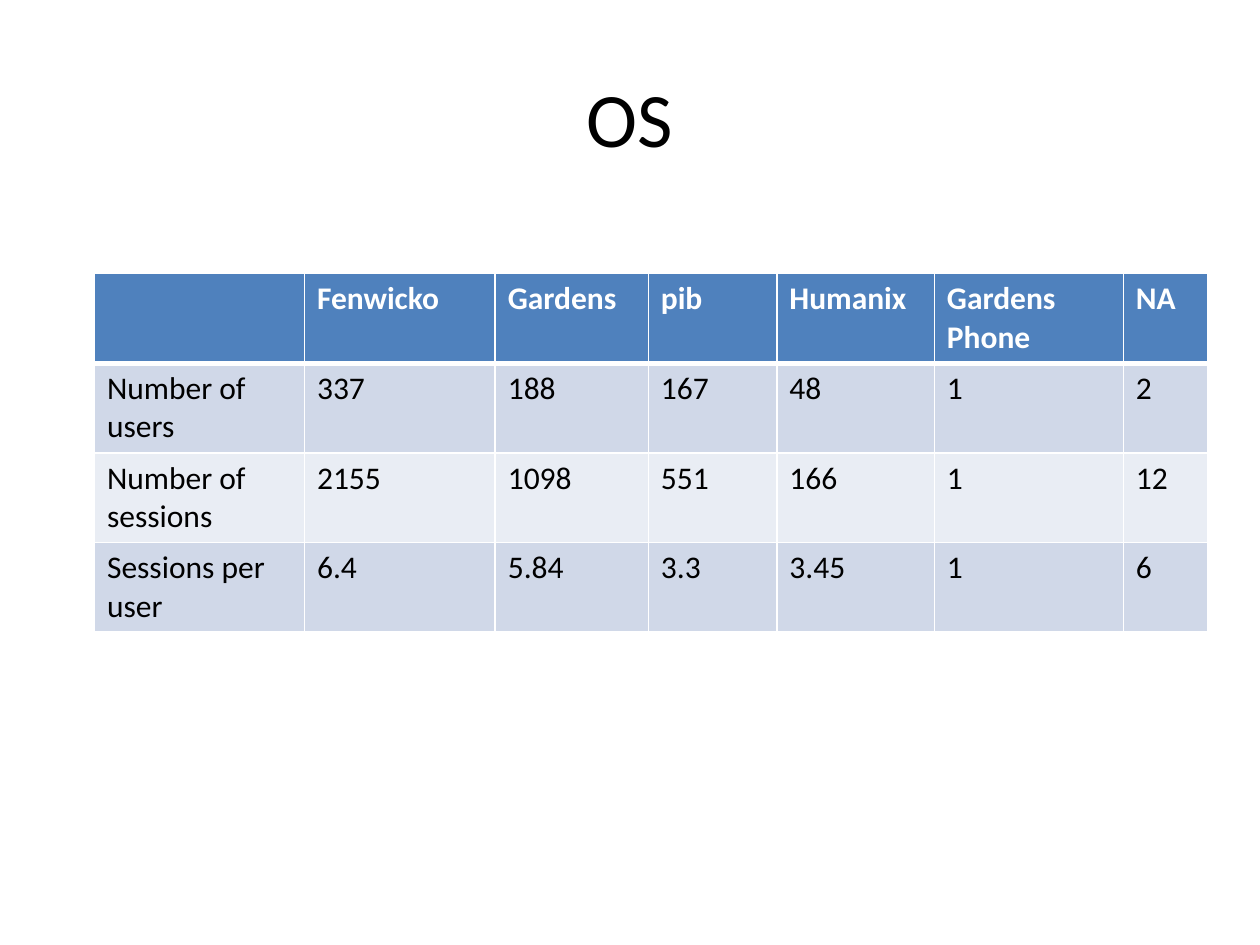
from dataclasses import dataclass

from lxml import etree
from pptx import Presentation
from pptx.dml.color import RGBColor
from pptx.enum import text
from pptx.oxml import ns
from pptx.util import Pt

WHITE = RGBColor(0xFF, 0xFF, 0xFF)
BLACK = RGBColor(0, 0, 0)
HEADER_BLUE = RGBColor(0x4F, 0x81, 0xBD)
BAND_DARK = RGBColor(0xD0, 0xD8, 0xE8)
BAND_LIGHT = RGBColor(0xE9, 0xED, 0xF4)
FONT = "Calibri"
THIN, THICK = Pt(1), Pt(3)
ROW_HEIGHT = Pt(50)
COLUMN_WIDTHS = [Pt(w) for w in (120, 109, 87.5, 73.5, 90, 108, 48)]


@dataclass(frozen=True)
class TableRow:
    """Wording and look of one table row."""
    values: tuple[str, ...]
    fill: RGBColor
    color: RGBColor = BLACK
    bold: bool = False
    top: int = THIN
    bottom: int = THIN


ROWS = [
    TableRow(("", "Fenwicko", "Gardens", "pib", "Humanix", "Gardens Phone", "NA"),
             HEADER_BLUE, WHITE, True, bottom=THICK),
    TableRow(("Number of users", "337", "188", "167", "48", "1", "2"),
             BAND_DARK, top=THICK),
    TableRow(("Number of sessions", "2155", "1098", "551", "166", "1", "12"), BAND_LIGHT),
    TableRow(("Sessions per user", "6.4", "5.84", "3.3", "3.45", "1", "6"), BAND_DARK),
]


def write(frame, wording: str, size: float, color: RGBColor, bold: bool = False) -> None:
    """Put formatted wording into the first paragraph of a text frame."""
    para = frame.paragraphs[0]
    span = para.add_run() if wording else para
    if wording:
        span.text = wording
    for name, value in {"name": FONT, "size": Pt(size), "bold": bold}.items():
        setattr(span.font, name, value)
    span.font.color.rgb = color


def add_borders(cell, top: int, bottom: int) -> None:
    """Draw white lines around a cell."""
    properties = cell._tc.get_or_add_tcPr()
    for side, width in {"L": THIN, "R": THIN, "T": top, "B": bottom}.items():
        line = etree.SubElement(properties, ns.qn(f"a:ln{side}"), w=str(int(width)))
        fill = etree.SubElement(line, ns.qn("a:solidFill"))
        etree.SubElement(fill, ns.qn("a:srgbClr"), val=str(WHITE))


def add_title(page, wording: str) -> None:
    """Place and format the title."""
    box = page.shapes.title
    place = {"left": Pt(36), "top": Pt(21.6), "width": Pt(648), "height": Pt(90)}
    for name, value in place.items():
        setattr(box, name, value)
    box.text_frame.vertical_anchor = text.MSO_ANCHOR.MIDDLE
    write(box.text_frame, wording, 44, BLACK)
    box.text_frame.paragraphs[0].alignment = text.PP_ALIGN.CENTER


def add_usage_table(page) -> None:
    """Build the table of users and sessions by operating system."""
    table = page.shapes.add_table(
        len(ROWS), len(COLUMN_WIDTHS), Pt(54), Pt(156.4),
        sum(COLUMN_WIDTHS), ROW_HEIGHT * len(ROWS)).table
    for column, width in zip(table.columns, COLUMN_WIDTHS):
        column.width = width
    for table_row, row in zip(table.rows, ROWS):
        table_row.height = ROW_HEIGHT
        for cell, value in zip(table_row.cells, row.values):
            add_borders(cell, row.top, row.bottom)
            cell.fill.solid()
            cell.fill.fore_color.rgb = row.fill
            write(cell.text_frame, value, 18, row.color, row.bold)


def main() -> None:
    """Build and save the deck."""
    deck = Presentation()
    deck.slide_width, deck.slide_height = Pt(720), Pt(540)
    page = deck.slides.add_slide(deck.slide_layouts[5])
    add_title(page, "OS")
    add_usage_table(page)
    deck.save("out.pptx")


main()
